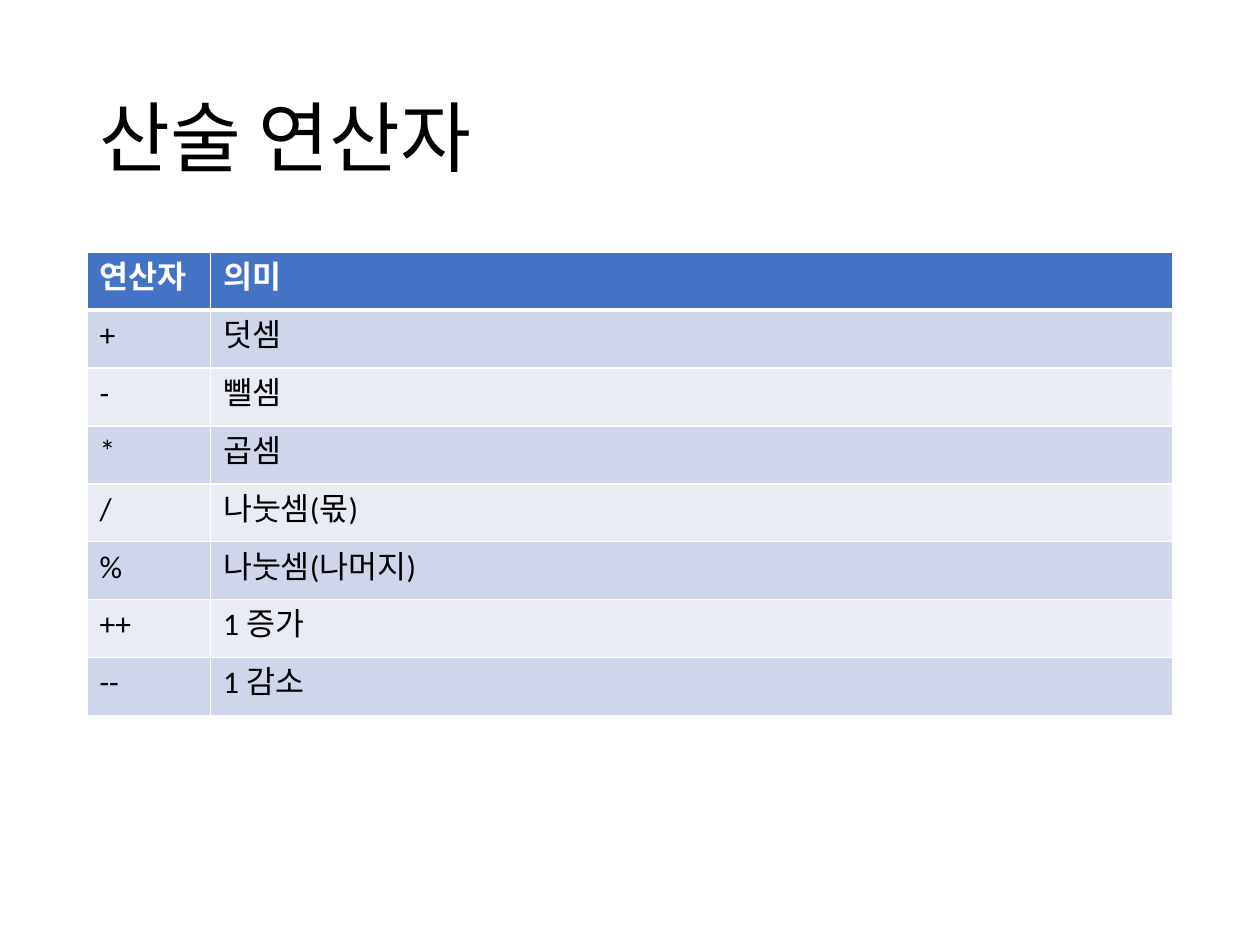
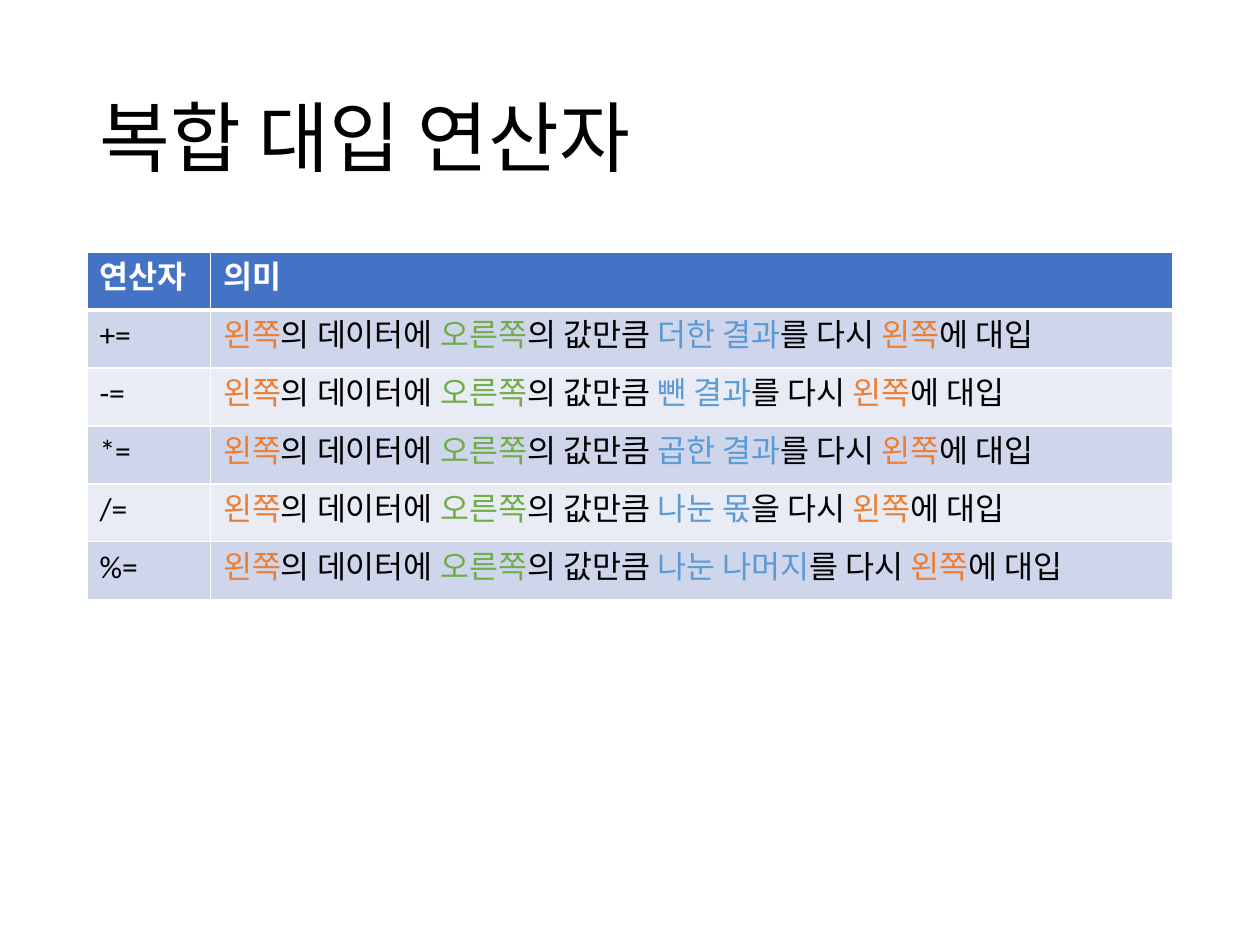
import pptx
import pptx.util
import pptx.dml.color
import pptx.enum.lang
import pptx.enum.text
import pptx.oxml
from dataclasses import dataclass
from lxml import etree

Inches, Pt = pptx.util.Inches, pptx.util.Pt


@dataclass(frozen=True)
class Theme:
    font: str = "Calibri"
    title: int = 44
    body: int = 18
    ink: str = "000000"
    white: str = "FFFFFF"
    head: str = "4472C4"
    bands: tuple = ("CFD5EA", "E9EBF5")
    left: str = "ED7D31"
    right: str = "70AD47"
    result: str = "5B9BD5"
    edge: float = 0.69
    width: float = 8.62
    cols: tuple = (0.98, 7.64)
    row: float = 0.46


T = Theme()
HEAD = ("연산자", "의미")
BASIC = [("+", "덧셈"), ("-", "뺄셈"), ("*", "곱셈"), ("/", "나눗셈(몫)"),
         ("%", "나눗셈(나머지)"), ("++", "1 증가"), ("--", "1 감소")]
# operator, result, object particle
ASSIGN = [("+=", "더한 결과", "를"), ("-=", "뺀 결과", "를"),
          ("*=", "곱한 결과", "를"), ("/=", "나눈 몫", "을"),
          ("%=", "나눈 나머지", "를")]


def color(code):
    return pptx.dml.color.RGBColor.from_string(code)


def style(para, size, ink, bold=False):
    font = para.font
    font.name, font.size, font.bold = T.font, Pt(size), bold
    font.color.rgb = color(ink)
    # Korean letters and the spaces between them follow the same font
    props = para._p.get_or_add_pPr().find(pptx.oxml.ns.qn("a:defRPr"))
    etree.SubElement(props, pptx.oxml.ns.qn("a:ea"), typeface=T.font)


def add_run(para, text, ink):
    run = para.add_run()
    run.text = text
    run.font.color.rgb = color(ink)
    run.font.language_id = pptx.enum.lang.MSO_LANGUAGE_ID.KOREAN
    etree.SubElement(run.font._element, pptx.oxml.ns.qn("a:ea"),
                     typeface=T.font)


def add_title(slide, text):
    box = slide.shapes.add_textbox(Inches(T.edge), Inches(0.4),
                                   Inches(T.width), Inches(1.45))
    frame = box.text_frame
    frame.word_wrap = True
    frame.vertical_anchor = pptx.enum.text.MSO_ANCHOR.MIDDLE
    para = frame.paragraphs[0]
    para.line_spacing = 0.9
    style(para, T.title, T.ink)
    add_run(para, text, T.ink)


def add_edges(cell, top, bottom):
    props = cell._tc.get_or_add_tcPr()
    for side, width in (("L", 1), ("R", 1), ("T", top), ("B", bottom)):
        line = etree.SubElement(props, pptx.oxml.ns.qn("a:ln" + side),
                                w=str(Pt(width)))
        fill = etree.SubElement(line, pptx.oxml.ns.qn("a:solidFill"))
        etree.SubElement(fill, pptx.oxml.ns.qn("a:srgbClr"), val=T.white)


def fill_cell(cell, parts, row):
    """Write a string, or a list of (text, colour) parts, into a cell."""
    para = cell.text_frame.paragraphs[0]
    ink = T.ink if row else T.white
    style(para, T.body, ink, bold=row == 0)
    for text, tint in [(parts, ink)] if isinstance(parts, str) else parts:
        add_run(para, text, tint)
    # Thick rule between the header and the first row
    add_edges(cell, 3 if row == 1 else 1, 1 if row else 3)
    cell.fill.solid()
    cell.fill.fore_color.rgb = color(T.bands[(row - 1) % 2] if row else T.head)


def add_grid(slide, rows):
    rows = [HEAD, *rows]
    grid = slide.shapes.add_table(len(rows), len(HEAD), Inches(T.edge),
                                  Inches(2), Inches(T.width),
                                  Inches(T.row * len(rows))).table
    for col, width in zip(grid.columns, T.cols):
        col.width = Inches(width)
    for r, row in enumerate(rows):
        grid.rows[r].height = Inches(T.row)
        for c, parts in enumerate(row):
            fill_cell(grid.cell(r, c), parts, r)


def explain(result, mark):
    return [("왼쪽", T.left), ("의 데이터에 ", T.ink),
            ("오른쪽", T.right), ("의 값만큼 ", T.ink),
            (result, T.result), (mark + " 다시 ", T.ink),
            ("왼쪽", T.left), ("에 대입", T.ink)]


def add_page(deck, title, rows):
    slide = deck.slides.add_slide(deck.slide_layouts[6])
    add_title(slide, title)
    add_grid(slide, rows)


def main():
    deck = pptx.Presentation()
    deck.slide_width, deck.slide_height = Inches(10), Inches(7.5)
    # Arithmetic operators
    add_page(deck, "산술 연산자", BASIC)
    # Compound assignment operators
    add_page(deck, "복합 대입 연산자",
             [(sign, explain(result, mark)) for sign, result, mark in ASSIGN])
    deck.save("out.pptx")


main()
